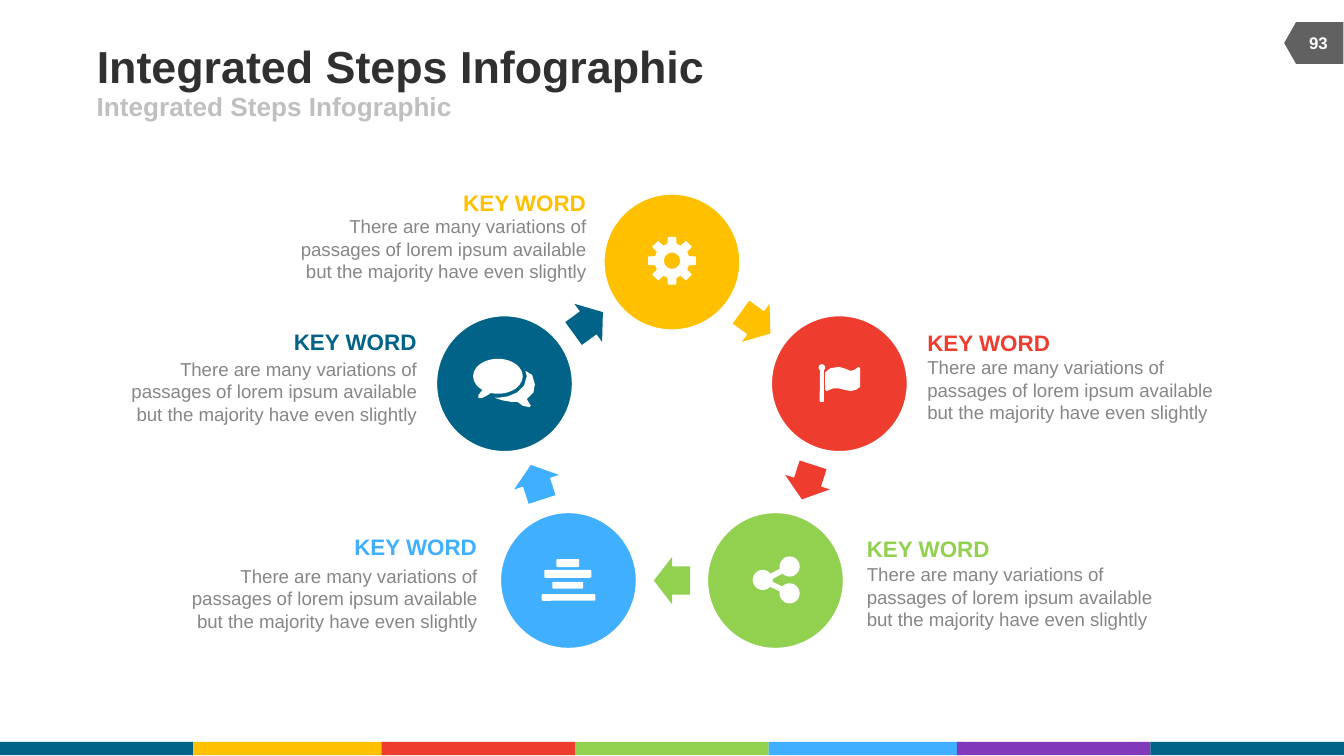
from dataclasses import dataclass
from math import cos, radians, sin

from lxml import etree
from pptx import Presentation
from pptx.dml.color import RGBColor
from pptx.enum.shapes import MSO_CONNECTOR, MSO_SHAPE as SHAPE
from pptx.enum.text import MSO_ANCHOR as ANCHOR, PP_ALIGN as ALIGN
from pptx.oxml.ns import qn
from pptx.util import Inches, Pt


@dataclass(frozen=True)
class Theme:
    font: str = "Arial"
    navy: str = "006387"
    yellow: str = "FFC000"
    red: str = "EE3C2E"
    green: str = "92D050"
    blue: str = "40AFFF"
    purple: str = "8238BA"
    white: str = "FFFFFF"
    tag: str = "616161"
    title: str = "303030"
    subtitle: str = "BFBFBF"
    body: str = "868686"
    title_size: int = 24
    subtitle_size: int = 14
    keyword_size: int = 12
    body_size: int = 10
    page_size: int = 9


theme = Theme()
presentation = Presentation()
presentation.slide_width = Inches(10)
presentation.slide_height = Inches(10) * 9 // 16
slide = presentation.slides.add_slide(presentation.slide_layouts[5])


def add_shape(kind, left, top, width, height, color):
    shape = slide.shapes.add_shape(
        kind, Inches(left), Inches(top), Inches(width), Inches(height))
    shape.shadow.inherit = False
    shape.fill.solid()
    shape.fill.fore_color.rgb = RGBColor.from_string(color)
    shape.line.fill.background()
    return shape


def add_text(text, left, top, width, height, size, color,
             bold=True, align=ALIGN.LEFT, wrap=False, shape=None):
    box = (Inches(left), Inches(top), Inches(width), Inches(height))
    if shape is None:
        shape = slide.shapes.add_textbox(*box)
    else:
        shape.left, shape.top, shape.width, shape.height = box
    frame = shape.text_frame
    frame.margin_left = frame.margin_right = frame.margin_top = frame.margin_bottom = 0
    frame.vertical_anchor = ANCHOR.MIDDLE
    frame.word_wrap = wrap
    frame.text = text
    paragraph = frame.paragraphs[0]
    paragraph.alignment = align
    paragraph.font.name = theme.font
    paragraph.font.size = Pt(size)
    paragraph.font.bold = bold
    paragraph.font.color.rgb = RGBColor.from_string(color)


# Colour strip along the bottom
strip = [(0, theme.navy), (1.44, theme.yellow), (2.84, theme.red), (4.28, theme.green),
         (5.72, theme.blue), (7.12, theme.purple), (8.56, theme.navy)]
for left, color in strip:
    add_shape(SHAPE.RECTANGLE, left, 5.52, 1.44, 0.1, color)

# Page number tag
tag = add_shape(SHAPE.FLOWCHART_OFFPAGE_CONNECTOR, 9.62, 0.1, 0.31, 0.44, theme.tag)
tag.rotation = 90
add_text("93", 9.6, 0.17, 0.42, 0.3, theme.page_size, theme.white, align=ALIGN.CENTER)

# Title and subtitle
heading = "Integrated Steps Infographic"
add_text(heading, 0.72, 0.29, 6.17, 0.39, theme.title_size, theme.title,
         shape=slide.shapes.title)
add_text(heading, 0.72, 0.68, 4.5, 0.22, theme.subtitle_size, theme.subtitle)

# Steps clockwise from the top: colour, alignment, text edge, keyword top, body top
steps = [
    (theme.yellow, ALIGN.RIGHT, 4.36, 1.41, 1.6),
    (theme.red, ALIGN.LEFT, 6.9, 2.45, 2.65),
    (theme.green, ALIGN.LEFT, 6.45, 3.98, 4.19),
    (theme.blue, ALIGN.RIGHT, 3.55, 3.97, 4.2),
    (theme.navy, ALIGN.RIGHT, 3.1, 2.44, 2.66),
]
body = ("There are many variations of passages of lorem ipsum available "
        "but the majority have even slightly")
center_x, center_y, ring_radius, diameter = 5, 3.255, 1.315, 1.03
center_y, ring_radius = 3.26, 1.31
arrow_radius, arrow_width, arrow_height = 1.06, 0.27, 0.35
keyword_width, body_width = 0.92, 2.14

for index, (color, align, edge, keyword_top, body_top) in enumerate(steps):
    # Circle on the ring
    angle = radians(72 * index)
    circle = add_shape(SHAPE.OVAL,
                       center_x + ring_radius * sin(angle) - diameter / 2,
                       center_y - ring_radius * cos(angle) - diameter / 2,
                       diameter, diameter, color)
    circle.line.color.rgb = RGBColor.from_string(theme.white)
    circle.line.width = Pt(2)

    # Arrow halfway to the next circle
    turn = 72 * index + 36
    arrow = add_shape(SHAPE.RIGHT_ARROW,
                      center_x + arrow_radius * sin(radians(turn)) - arrow_width / 2,
                      center_y - arrow_radius * cos(radians(turn)) - arrow_height / 2,
                      arrow_width, arrow_height, color)
    arrow.adjustments[0], arrow.adjustments[1] = 0.6, 0.5
    arrow.rotation = turn

    # Keyword and description
    shift = 1 if align == ALIGN.RIGHT else 0
    add_text("KEY WORD", edge - shift * keyword_width, keyword_top, keyword_width, 0.2,
             theme.keyword_size, color, align=align)
    add_text(body, edge - shift * body_width, body_top, body_width, 0.5,
             theme.body_size, theme.body, bold=False, align=align, wrap=True)

# Gear, speech bubble and flag outlines
gear = []
for tooth in range(8):
    for offset, radius in [(-15, 0.13), (-10, 0.18), (10, 0.18), (15, 0.13)]:
        angle = radians(45 * tooth + offset)
        gear.append((5 + radius * sin(angle), 1.94 - radius * cos(angle)))
gear_hole = [(5 + 0.06 * cos(radians(turn)), 1.94 - 0.06 * sin(radians(turn)))
             for turn in range(0, 360, 10)]
bubble_tail = [(3.6, 2.88), (3.59, 2.9), (3.56, 2.94), (3.56, 2.96), (3.59, 2.96),
               (3.63, 2.94), (3.67, 2.91)]
back_bubble = [(3.91, 2.76), (3.96, 2.79), (3.98, 2.86), (3.97, 2.92), (3.92, 2.97),
               (3.95, 3.02), (3.94, 3.03), (3.89, 3.02), (3.85, 2.99), (3.8, 2.99),
               (3.74, 2.98), (3.68, 2.96), (3.71, 2.96), (3.78, 2.95), (3.85, 2.92),
               (3.9, 2.87), (3.92, 2.8)]
flag = [(6.14, 2.77), (6.18, 2.74), (6.24, 2.73), (6.28, 2.74), (6.33, 2.76),
        (6.36, 2.75), (6.39, 2.73), (6.4, 2.74), (6.4, 2.88), (6.37, 2.9),
        (6.33, 2.91), (6.28, 2.9), (6.24, 2.89), (6.2, 2.89), (6.15, 2.91), (6.14, 2.9)]
for contours in [[gear, gear_hole], [bubble_tail], [back_bubble], [flag]]:
    # Freeform points are whole numbers, so lengths go in as EMU
    paths = [[(Inches(x), Inches(y)) for x, y in contour] for contour in contours]
    builder = slide.shapes.build_freeform(*paths[0][0])
    builder.add_line_segments(paths[0][1:])
    for points in paths[1:]:
        builder.move_to(*points[0])
        builder.add_line_segments(points[1:])
    outline = builder.convert_to_shape()
    outline.shadow.inherit = False
    outline.fill.solid()
    outline.fill.fore_color.rgb = RGBColor.from_string(theme.white)
    outline.line.fill.background()

# Round icon parts: front bubble, flag knob, share nodes
for left, top, width, height in [(3.52, 2.67, 0.37, 0.26), (6.09, 2.71, 0.05, 0.05),
                                 (5.6, 4.24, 0.15, 0.15), (5.8, 4.14, 0.15, 0.15),
                                 (5.8, 4.34, 0.15, 0.15)]:
    add_shape(SHAPE.OVAL, left, top, width, height, theme.white)

# Bar icon parts: flag pole and four stacked bars
for left, top, width, height in [(6.1, 2.74, 0.03, 0.25), (4.14, 4.16, 0.17, 0.06),
                                 (4.05, 4.24, 0.35, 0.06), (4.11, 4.33, 0.23, 0.05),
                                 (4.03, 4.42, 0.4, 0.05)]:
    add_shape(SHAPE.ROUNDED_RECTANGLE, left, top, width, height, theme.white)

# Share icon links
for end_y in (4.22, 4.41):
    link = slide.shapes.add_connector(MSO_CONNECTOR.STRAIGHT, Inches(5.68), Inches(4.32),
                                      Inches(5.87), Inches(end_y))
    link.line.color.rgb = RGBColor.from_string(theme.white)
    link.line.width = Pt(3)
    etree.SubElement(link._element.spPr, qn("a:effectLst"))

presentation.save("out.pptx")
